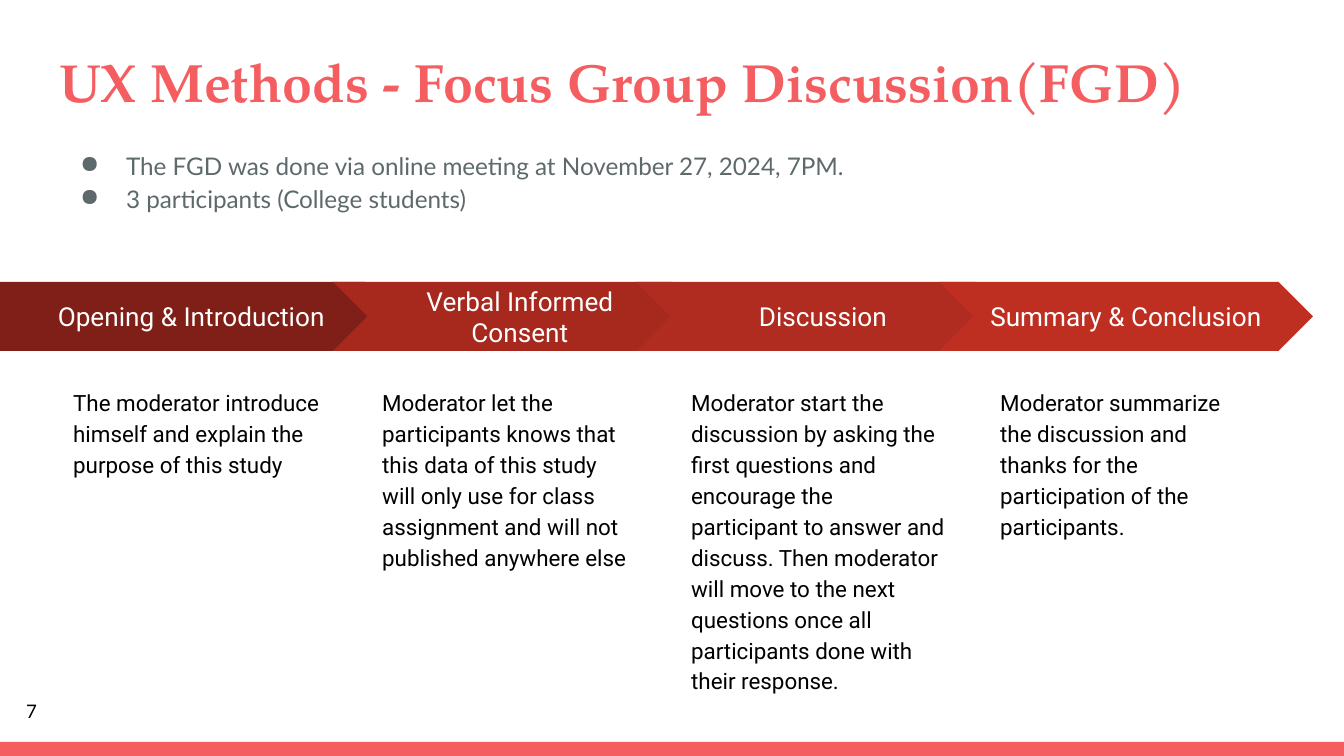
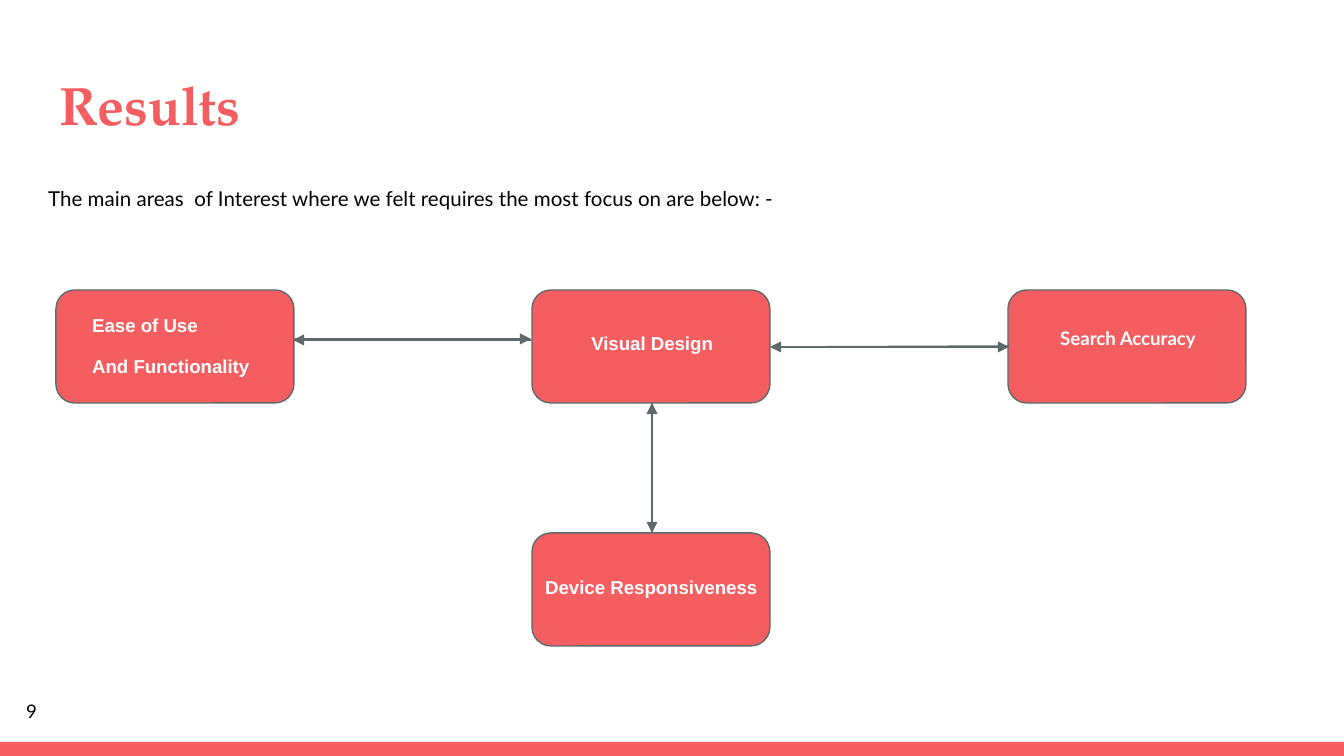
from collections import namedtuple

from lxml.etree import SubElement
from pptx import Presentation
from pptx.dml.color import RGBColor
from pptx.enum.shapes import MSO_CONNECTOR, MSO_SHAPE
from pptx.enum.text import MSO_ANCHOR, PP_ALIGN
from pptx.oxml.ns import qn
from pptx.util import Emu, Pt

Box = namedtuple("Box", "left top width height")

PAGE = Box(0, 0, 1344, 756)
CORAL, SLATE, BLACK, WHITE = "F55E61", "5E696C", "000000", "FFFFFF"

TITLE = {"name": "TeX Gyre Pagella", "size": Pt(28.8), "bold": True, "color": CORAL}
BULLET = {"name": "Lato", "size": Pt(13), "color": SLATE}
INTRO = {"name": "Lato", "size": Pt(11), "color": BLACK}
NUMBER = {"name": "Lato", "size": Pt(10), "color": BLACK}
STEP = {"name": "Roboto", "size": Pt(14), "color": WHITE}
DETAIL = {"name": "Roboto", "size": Pt(12), "color": BLACK}
LABEL = {"name": "Arial", "size": Pt(10), "bold": True, "color": WHITE}

STEPS = [
    ("Opening & Introduction", "801F17",
     "The moderator introduce himself and explain the purpose of this study"),
    ("Verbal Informed Consent", "A7291E",
     "Moderator let the participants knows that this data of this study will only "
     "use for class assignment and will not published anywhere else"),
    ("Discussion", "B02B20",
     "Moderator start the discussion by asking the first questions and encourage the "
     "participant to answer and discuss. Then moderator will move to the next "
     "questions once all participants done with their response."),
    ("Summary & Conclusion", "BE2F22",
     "Moderator summarize the discussion and thanks for the participation of the "
     "participants."),
]

AREAS = [
    (0, 0, Box(23, 10, 577, 52), ["Ease of Use", "And Functionality"], LABEL,
     {"line_spacing": 1.0}),
    (1, 0, Box(46, 26, 515, 60), ["Visual Design"], LABEL, {"line_spacing": 1.15}),
    (2, 0, Box(39, 26, 297, 60), ["Search Accuracy"], LABEL | {"name": "Lato"},
     {"line_spacing": 1.0}),
    (1, 1, Box(0, 27, 515, 60), ["Device Responsiveness"], LABEL, {"line_spacing": 1.15}),
]

ARROWS = [
    (239, 49, 475, 49), (475, 50, 237, 50),
    (953, 56, 714, 57), (715, 57, 953, 57),
    (596, 113, 596, 243), (596, 243, 596, 113),
]


def px(value):
    return Emu(round(value * 914400 / 134.4))


def color(code):
    return RGBColor.from_string(code)


def inside(box, left, top, width, height):
    return Box(box.left + left, box.top + top, width, height)


def apply(target, values):
    for name, value in values.items():
        if name == "color":
            target.color.rgb = color(value)
        else:
            setattr(target, name, value)


def write(frame, lines, style, layout={}, bullet=None, gap=0):
    apply(frame, {"word_wrap": True} | {
        f"margin_{side}": px(13.44) for side in ("left", "top", "right", "bottom")})
    for index, line in enumerate(lines):
        para = frame.paragraphs[0] if index == 0 else frame.add_paragraph()
        if bullet:
            add_bullet(para, bullet, style["color"])
        apply(para, layout)
        if index and gap:
            para.space_before = Pt(gap)
        span = para.add_run()
        span.text = line
        apply(span.font, style)


def add_bullet(para, mark, code):
    props = para._p.get_or_add_pPr()
    props.set("marL", str(px(67)))
    props.set("indent", str(px(-46)))
    SubElement(SubElement(props, qn("a:buClr")), qn("a:srgbClr"), val=code)
    SubElement(props, qn("a:buChar"), char=mark)


def add_text(page, box, lines, style, **options):
    frame = page.shapes.add_textbox(*map(px, box)).text_frame
    write(frame, lines, style, **options)


def add_block(page, kind, box, fill, line=None):
    shape = page.shapes.add_shape(kind, *map(px, box))
    shape.shadow.inherit = False
    shape.fill.solid()
    shape.fill.fore_color.rgb = color(fill)
    if line:
        apply(shape.line, {"color": line, "width": Pt(0.75)})
    else:
        shape.line.fill.background()
    return shape


def add_arrow(page, *ends):
    arrow = page.shapes.add_connector(MSO_CONNECTOR.STRAIGHT, *map(px, ends))
    apply(arrow.line, {"color": SLATE, "width": Pt(0.75)})
    SubElement(arrow.line._get_or_add_ln(), qn("a:tailEnd"), type="triangle")
    SubElement(arrow._element.spPr, qn("a:effectLst"))


def add_page(deck, title, title_top, number):
    page = deck.slides.add_slide(deck.slide_layouts[6])
    add_block(page, MSO_SHAPE.RECTANGLE, inside(PAGE, 0, 742, PAGE.width, 14), CORAL)
    add_text(page, inside(PAGE, 46, title_top, 1253, 91), [title], TITLE)
    add_text(page, inside(PAGE, 13, 689, 60, 58), [number], NUMBER)
    return page


def add_process(page, box):
    for index, (name, fill, detail) in enumerate(STEPS):
        if index == 0:
            kind, place = MSO_SHAPE.PENTAGON, inside(box, 0, 0, 400, 69)
        else:
            kind, place = MSO_SHAPE.CHEVRON, inside(box, 30 + 303 * index, 0, 374, 69)
        band = add_block(page, kind, place, fill)
        band.text_frame.vertical_anchor = MSO_ANCHOR.MIDDLE
        write(band.text_frame, [name], STEP, layout={"alignment": PP_ALIGN.CENTER})
        add_text(page, inside(box, 60 + 309 * index, 90, 280, 270), [detail], DETAIL,
                 layout={"line_spacing": 1.15})


def add_diagram(page, box):
    nodes = [inside(box, 476 * column, 243 * row, 238, 113) for column, row, *_ in AREAS]
    for node in nodes:
        add_block(page, MSO_SHAPE.ROUNDED_RECTANGLE, node, CORAL, SLATE)
    for node, (_, _, place, lines, style, layout) in zip(nodes, AREAS):
        add_text(page, inside(node, *place), lines, style, layout=layout, gap=10)
    for x1, y1, x2, y2 in ARROWS:
        add_arrow(page, box.left + x1, box.top + y1, box.left + x2, box.top + y2)


def build_methods(deck):
    page = add_page(deck, "UX Methods - Focus Group Discussion(FGD)", 35, "7")
    add_text(page, inside(PAGE, 46, 133, 1253, 121),
             ["The FGD was done via online meeting at November 27, 2024, 7PM.",
              "3 participants (College students)"],
             BULLET, layout={"line_spacing": 1.15}, bullet="●")
    add_process(page, Box(0, 282, 1313, 360))


def build_results(deck):
    page = add_page(deck, "Results", 58, "9")
    add_text(page, inside(PAGE, 35, 169, 1253, 60),
             ["The main areas  of Interest where we felt requires the most focus on "
              "are below: -"],
             INTRO, layout={"line_spacing": 1.15})
    add_diagram(page, Box(56, 290, 1190, 356))


def main():
    deck = Presentation()
    apply(deck, {"slide_width": px(PAGE.width), "slide_height": px(PAGE.height)})
    build_methods(deck)
    build_results(deck)
    deck.save("out.pptx")


if __name__ == "__main__":
    main()
